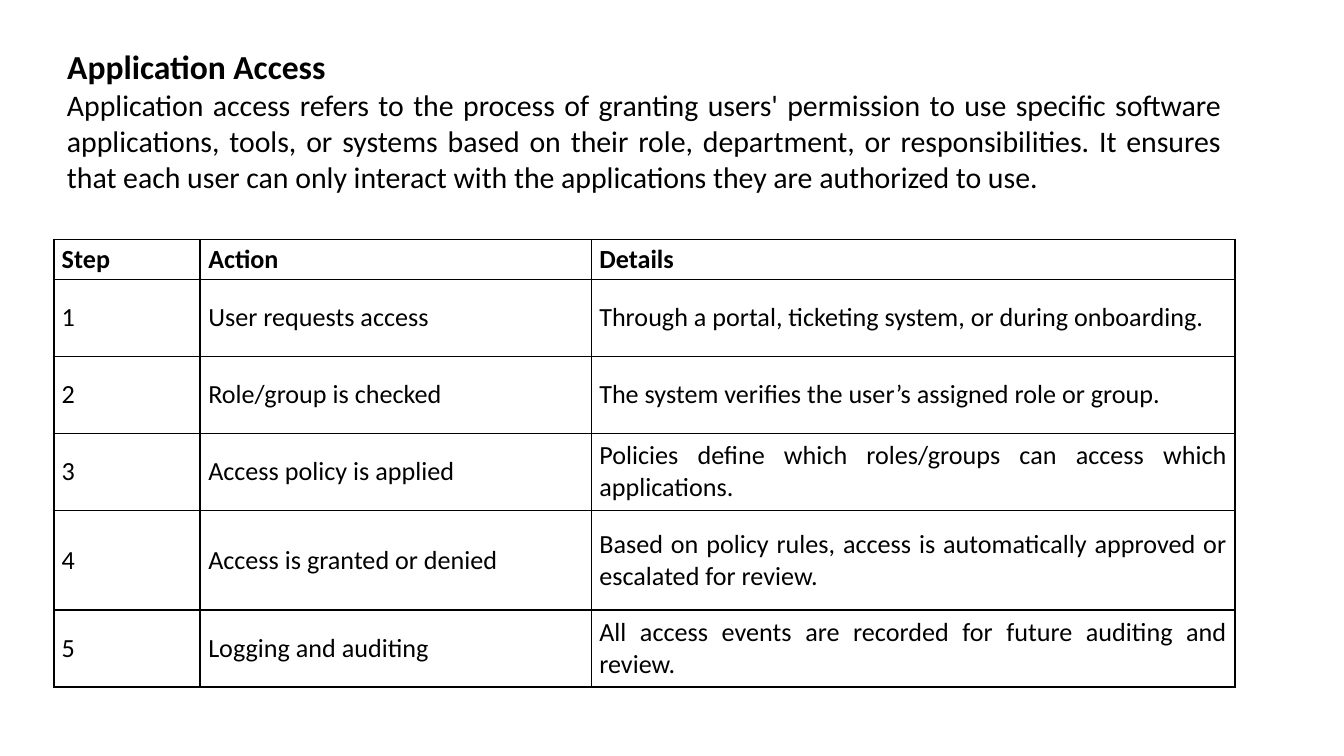
from lxml.etree import SubElement
from pptx import Presentation
from pptx.dml.color import RGBColor
from pptx.enum.text import MSO_ANCHOR, MSO_AUTO_SIZE, PP_ALIGN
from pptx.oxml.ns import qn
from pptx.util import Pt

LEFT, WIDTH = 28.8, 633
COLUMN_WIDTHS = [78.5, 209.5, 345]
ROW_HEIGHTS = [21.5, 41.25, 41.25, 41.25, 53.5, 41.25]
HEADER = ["Step", "Action", "Details"]
STEPS = [
    ("User requests access",
     "Through a portal, ticketing system, or during onboarding."),
    ("Role/group is checked",
     "The system verifies the user’s assigned role or group."),
    ("Access policy is applied",
     "Policies define which roles/groups can access which applications."),
    ("Access is granted or denied",
     "Based on policy rules, access is automatically approved or escalated for review."),
    ("Logging and auditing",
     "All access events are recorded for future auditing and review."),
]
INTRODUCTION = (
    "Application access refers to the process of granting users' permission to use "
    "specific software applications, tools, or systems based on their role, department, "
    "or responsibilities. It ensures that each user can only interact with the "
    "applications they are authorized to use."
)


def color(value):
    return RGBColor.from_string(value)


def write(text_frame, text, size=14, bold=False, align=PP_ALIGN.JUSTIFY,
          font="Calibri", fill="000000"):
    paragraph = text_frame.paragraphs[0]
    paragraph.alignment = align
    run = paragraph.add_run()
    run.text = text
    run.font.name = font
    run.font.size = Pt(size)
    run.font.bold = bold
    run.font.color.rgb = color(fill)


def set_borders(cell, line_color, width):
    """Draw all four sides; the lines must come before the fill in tcPr."""
    properties = cell._tc.get_or_add_tcPr()
    for index, side in enumerate(("lnL", "lnR", "lnT", "lnB")):
        line = SubElement(properties, qn(f"a:{side}"), w=str(Pt(width)))
        fill = SubElement(line, qn("a:solidFill"))
        SubElement(fill, qn("a:srgbClr"), val=line_color)
        properties.insert(index, line)


class SlideBuilder:
    line_color = "000000"
    line_width = 1

    def __init__(self, slide):
        self.slide = slide

    def place(self, shape, top, height, margin_top):
        shape.left, shape.top = Pt(LEFT), Pt(top)
        shape.width, shape.height = Pt(WIDTH), Pt(height)
        frame = shape.text_frame
        frame.word_wrap = True
        frame.auto_size = MSO_AUTO_SIZE.NONE
        frame.vertical_anchor = MSO_ANCHOR.TOP
        frame.margin_left = frame.margin_right = Pt(7.2)
        frame.margin_top, frame.margin_bottom = Pt(margin_top), Pt(0)
        return frame

    def title(self, text, top, height):
        frame = self.place(self.slide.shapes.title, top, height, margin_top=3.6)
        write(frame, text, size=18, bold=True, align=PP_ALIGN.LEFT)

    def text(self, text, top, height):
        shape = self.slide.shapes.add_textbox(0, 0, Pt(WIDTH), Pt(height))
        write(self.place(shape, top, height, margin_top=0), text, size=16)

    def table(self, rows, top):
        table = self.slide.shapes.add_table(
            len(rows), len(COLUMN_WIDTHS), Pt(LEFT), Pt(top),
            Pt(sum(COLUMN_WIDTHS)), Pt(sum(ROW_HEIGHTS))).table
        table.first_row = table.horz_banding = False
        for column, width in zip(table.columns, COLUMN_WIDTHS):
            column.width = Pt(width)
        for row, height, texts in zip(table.rows, ROW_HEIGHTS, rows):
            row.height = Pt(height)
            for cell, text in zip(row.cells, texts):
                self.cell(cell, text, bold=texts is HEADER)

    def cell(self, cell, text, bold):
        cell.fill.background()
        cell.vertical_anchor = MSO_ANCHOR.MIDDLE
        cell.margin_left = cell.margin_right = Pt(4.3)
        cell.margin_top = cell.margin_bottom = Pt(2.15)
        write(cell.text_frame, text, bold=bold)
        set_borders(cell, self.line_color, self.line_width)


def main():
    presentation = Presentation()
    presentation.slide_width, presentation.slide_height = Pt(720), Pt(405)
    title_only = presentation.slide_layouts[5]
    builder = SlideBuilder(presentation.slides.add_slide(title_only))
    builder.title("Application Access", top=20.9, height=25.6)
    builder.text(INTRODUCTION, top=46.5, height=61.5)
    numbered = [(str(number), *step) for number, step in enumerate(STEPS, 1)]
    builder.table([HEADER, *numbered], top=128.2)
    presentation.save("out.pptx")


if __name__ == "__main__":
    main()
